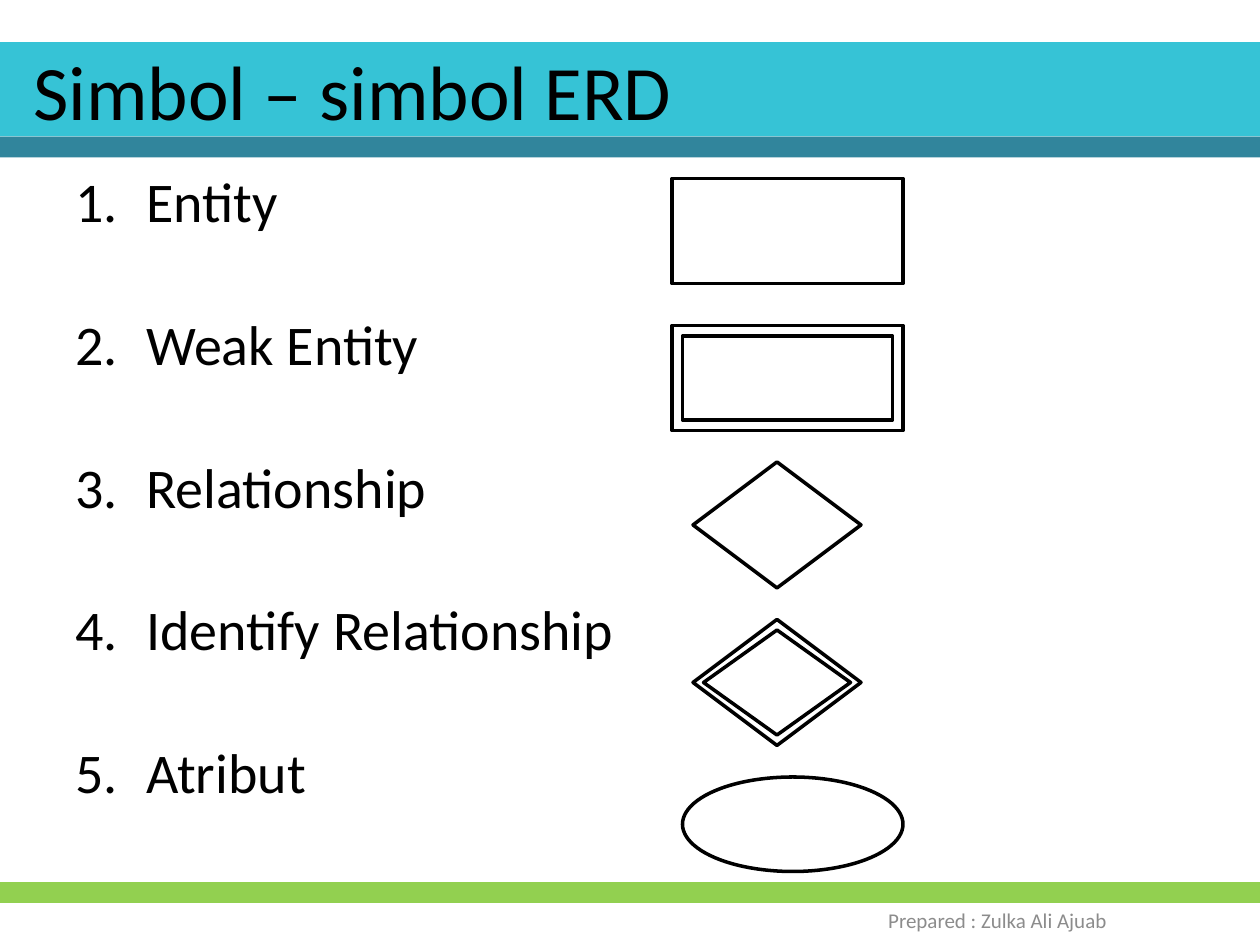
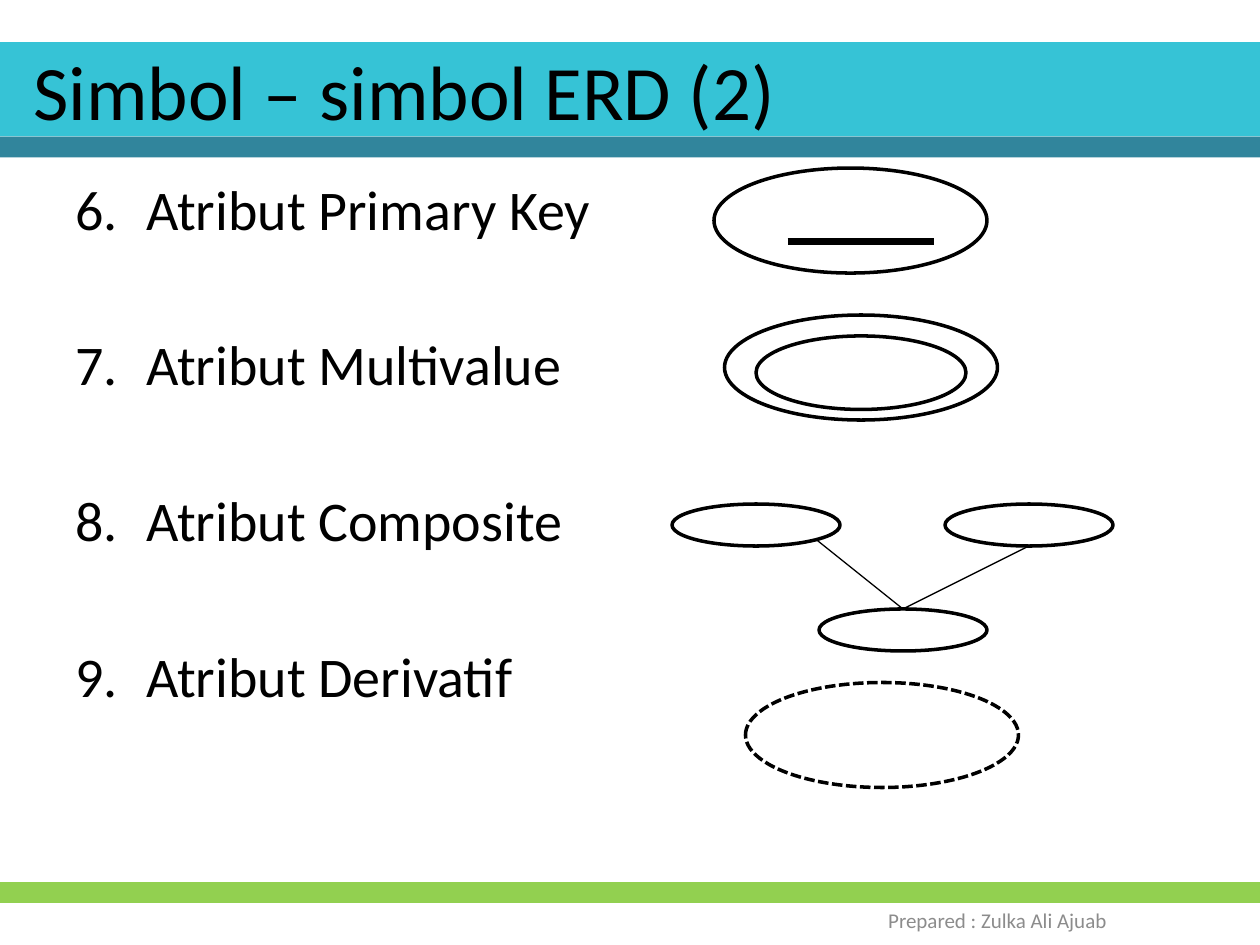
import dataclasses
import lxml.etree
import pptx
import pptx.util
import pptx.dml.color
import pptx.enum.dml
import pptx.enum.shapes
import pptx.enum.text
import pptx.oxml.ns

Pt = pptx.util.Pt
RGB = pptx.dml.color.RGBColor.from_string
Kind = pptx.enum.shapes.MSO_SHAPE
Align = pptx.enum.text.PP_ALIGN
Anchor = pptx.enum.text.MSO_ANCHOR
Dash = pptx.enum.dml.MSO_LINE
qn = pptx.oxml.ns.qn


@dataclasses.dataclass(frozen=True)
class Theme:
    font: str = "Calibri"
    ink: str = "000000"
    gray: str = "8C8C8C"
    cyan: str = "36C3D6"
    teal: str = "31859C"
    green: str = "92D050"
    title: int = 44
    body: int = 32
    foot: int = 12
    edge: float = 2
    link: float = 0.75
    key: float = 4.5


THEME = Theme()
PAGE = (0, 0, 720, 540)
HEAD = (12, 6, 576, 90)
BODY = (36, 96, 648, 408)
PANEL = (384, 96, 336, 408)
FOOT = (420, 511, 300, 29)


def style(item, values):
    for name, value in values.items():
        setattr(item, name, value)


def place(box, left, top, width, height):
    return [Pt(n) for n in (box[0] + left, box[1] + top, width, height)]


def write(slide, box, lines, size, color, anchor, form):
    frame = slide.shapes.add_textbox(*place(box, 0, 0, *box[2:])).text_frame
    style(frame, {"word_wrap": True, "vertical_anchor": anchor})
    for i, line in enumerate(lines):
        para = frame.add_paragraph() if i else frame.paragraphs[0]
        style(para, form)
        run = para.add_run()
        run.text = line
        style(run.font, {"name": THEME.font, "size": Pt(size)})
        run.font.color.rgb = RGB(color)
    return frame


def band(slide, box, top, height, color):
    shape = slide.shapes.add_shape(Kind.RECTANGLE, *place(box, 0, top, box[2], height))
    shape.shadow.inherit = False
    shape.fill.solid()
    shape.fill.fore_color.rgb = RGB(color)
    shape.line.fill.background()


def frame_page(slide, title):
    for top, height, color in ((24, 54, THEME.cyan), (78, 12, THEME.teal), (504, 12, THEME.green)):
        band(slide, PAGE, top, height, color)
    write(slide, FOOT, ["Prepared : Zulka Ali Ajuab"], THEME.foot, THEME.gray,
          Anchor.MIDDLE, {"alignment": Align.CENTER})
    write(slide, HEAD, [title], THEME.title, THEME.ink, Anchor.MIDDLE, {})


def list_names(slide, box, names, start, pitch, gap):
    form = {"line_spacing": pitch, "space_before": Pt(6), "space_after": Pt(gap)}
    frame = write(slide, box, names, THEME.body, THEME.ink, Anchor.TOP, form)
    for para in frame.paragraphs:
        props = para._p.get_or_add_pPr()
        props.set("marL", str(Pt(40.5)))
        props.set("indent", str(-Pt(40.5)))
        mark = lxml.etree.SubElement(props, qn("a:buAutoNum"))
        mark.set("type", "arabicPeriod")
        mark.set("startAt", str(start))


def outline(slide, box, kind, left, top, width, height, dash=None):
    shape = slide.shapes.add_shape(kind, *place(box, left, top, width, height))
    shape.shadow.inherit = False
    shape.fill.background()
    style(shape.line, {"width": Pt(THEME.edge), "dash_style": dash})
    shape.line.color.rgb = RGB(THEME.ink)
    return shape


def join(slide, box, start, end, width):
    ends = [Pt(n + box[i % 2]) for i, n in enumerate(start + end)]
    line = slide.shapes.add_connector(pptx.enum.shapes.MSO_CONNECTOR.STRAIGHT, *ends)
    line.line.width = Pt(width)
    line.line.color.rgb = RGB(THEME.ink)
    lxml.etree.SubElement(line._element.spPr, qn("a:effectLst"))
    return line


def draw_basic(slide, box):
    for kind, *spot in (
        (Kind.RECTANGLE, 0, 6, 132, 60),
        (Kind.RECTANGLE, 0, 90, 132, 60),
        (Kind.RECTANGLE, 6, 96, 120, 48),
        (Kind.FLOWCHART_DECISION, 12, 168, 96, 72),
        (Kind.FLOWCHART_DECISION, 12, 258, 96, 72),
        (Kind.FLOWCHART_DECISION, 18, 264, 84, 60),
        (Kind.OVAL, 6, 348, 126, 54),
    ):
        outline(slide, box, kind, *spot)


def draw_traits(slide, box):
    large, small = (156, 60), (96, 24)
    outline(slide, box, Kind.OVAL, 24, 0, *large)
    join(slide, box, (66, 42), (150, 42), THEME.key)
    outline(slide, box, Kind.OVAL, 30, 84, *large)
    outline(slide, box, Kind.OVAL, 48, 96, 120, 42)
    root = outline(slide, box, Kind.OVAL, 84, 252, *small)
    for left, start in ((0, (82, 212)), (156, (204, 216))):
        outline(slide, box, Kind.OVAL, left, 192, *small)
        join(slide, box, start, (132, 252), THEME.link).end_connect(root, 0)
    outline(slide, box, Kind.OVAL, 42, 294, *large, Dash.SQUARE_DOT)


def main():
    deck = pptx.Presentation()
    style(deck, {"slide_width": Pt(PAGE[2]), "slide_height": Pt(PAGE[3])})
    basic = ["Entity", "Weak Entity", "Relationship", "Identify Relationship", "Atribut"]
    traits = ["Atribut Primary Key", "Atribut Multivalue", "Atribut Composite", "Atribut Derivatif"]
    for title, names, start, pitch, gap, draw in (
        ("Simbol – simbol ERD", basic, 1, 0.9, 41, draw_basic),
        ("Simbol – simbol ERD (2)", traits, 6, 1.0, 44.5, draw_traits),
    ):
        slide = deck.slides.add_slide(deck.slide_layouts[6])
        frame_page(slide, title)
        list_names(slide, BODY, names, start, pitch, gap)
        draw(slide, PANEL)
    deck.save("out.pptx")


if __name__ == "__main__":
    main()
